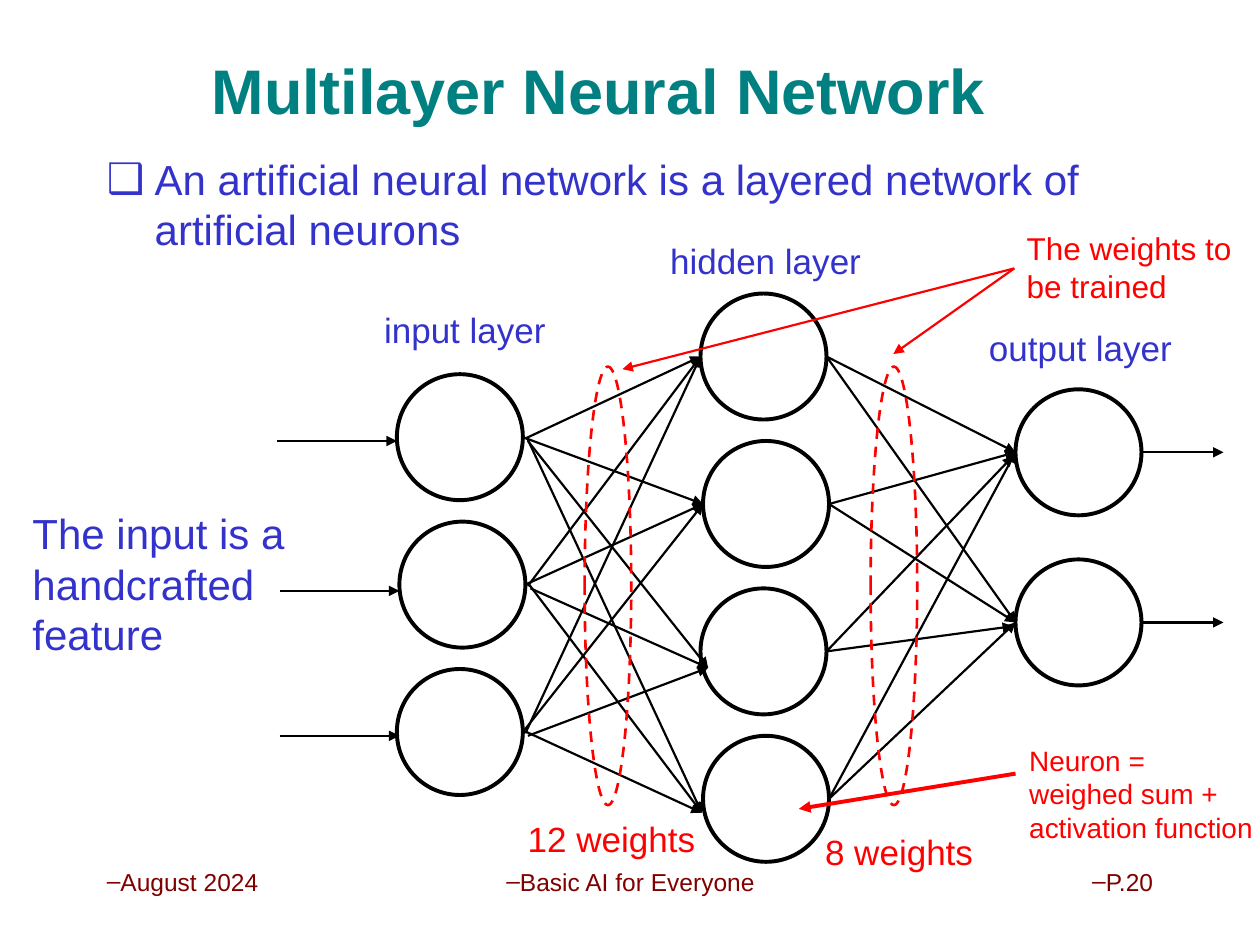
import pptx
import pptx.util
import pptx.dml.color
import pptx.enum.dml
import pptx.enum.shapes
import pptx.enum.text
import pptx.oxml
import pptx.oxml.ns

Inches = pptx.util.Inches
ALIGN = pptx.enum.text.PP_ALIGN
ANCHOR = pptx.enum.text.MSO_ANCHOR
COLORS = {
    "black": "000000",
    "blue": "3333CC",
    "red": "FF0000",
    "teal": "008080",
    "maroon": "800000",
}


class SlideBuilder:
    font = "Arial"

    def __init__(self, slide):
        self.s = slide

    def color(self, name):
        return pptx.dml.color.RGBColor.from_string(COLORS[name])

    def child(self, parent, tag, **attrs):
        el = pptx.oxml.parse_xml(f"<a:{tag} {pptx.oxml.ns.nsdecls('a')}/>")
        for key, value in attrs.items():
            el.set(key, str(value))
        parent.append(el)

    def text(self, lines, box, size, color, align=ALIGN.LEFT, bold=False,
             anchor=ANCHOR.TOP, bullet=None, indent=0):
        sp = self.s.shapes.add_textbox(*map(Inches, box))
        tf = sp.text_frame
        tf.word_wrap = True
        tf.vertical_anchor = anchor
        p = tf.paragraphs[0]
        p.alignment = align
        if bullet:
            pPr = p._p.get_or_add_pPr()
            pPr.set("marL", str(Inches(indent)))
            pPr.set("indent", str(-Inches(indent)))
            self.child(pPr, "buFont", typeface=self.font)
            self.child(pPr, "buChar", char=bullet)
        for i, line in enumerate(lines):
            if i:
                p.add_line_break()
            r = p.add_run()
            r.text = line
            r.font.name = self.font
            r.font.size = pptx.util.Pt(size)
            r.font.bold = bold
            r.font.color.rgb = self.color(color)

    def ellipse(self, box, color="black", width=2.25, dash=None):
        sp = self.s.shapes.add_shape(
            pptx.enum.shapes.MSO_SHAPE.OVAL, *map(Inches, box))
        sp.shadow.inherit = False
        sp.fill.background()
        sp.line.color.rgb = self.color(color)
        sp.line.width = pptx.util.Pt(width)
        if dash:
            sp.line.dash_style = dash

    def arrow(self, start, end, color="black", width=1.25):
        c = self.s.shapes.add_connector(
            pptx.enum.shapes.MSO_CONNECTOR.STRAIGHT,
            *map(Inches, (*start, *end)))
        c.line.color.rgb = self.color(color)
        c.line.width = pptx.util.Pt(width)
        self.child(c.line._get_or_add_ln(), "tailEnd", type="triangle")
        self.child(c._element.spPr, "effectLst")


def draw_network(b):
    pitch = 1.17
    layers = [
        [(3.15 + 0.02 * (i % 2), 2.97 + pitch * i) for i in range(3)],
        [(5.56 + 0.02 * (i % 2), 2.33 + pitch * i) for i in range(4)],
        [(8.06, 3.09), (8.06, 4.44)],
    ]
    for layer in layers:
        for x, y in layer:
            b.ellipse((x, y, 1, 1))

    fans = [
        ((4.17, 3.48), (5.56, 2.83)),
        ((4.15, 3.47), (5.58, 4)),
        ((4.19, 3.5), (5.62, 5.3)),
        ((4.18, 3.47), (5.57, 6.45)),
    ]
    for (x, y), hidden in fans:
        for i in range(3):
            b.arrow((x + 0.02 * (i % 2), y + pitch * i), hidden)

    for y in (3.59, 4.94):
        for i, (hx, hy) in enumerate(layers[1]):
            end = (8.04, y + 0.03) if i == 2 else (8.06, y)
            b.arrow((hx + 1, hy + 0.5), end)
        b.arrow((9.06, y), (9.71, y))

    for x, y in ((2.2, 3.5), (2.22, 4.69), (2.22, 5.84)):
        b.arrow((x, y), (x + 0.95, y))


def draw_notes(b):
    for x in (4.64, 6.91):
        b.ellipse((x, 2.91, 0.37, 3.48), "red", 1.5,
                  pptx.enum.dml.MSO_LINE.DASH)
    for end in ((4.94, 2.93), (7.09, 2.81)):
        b.arrow((8.05, 2.13), end, "red")
    b.arrow((8.06, 6.14), (6.34, 6.42), "red", 2.25)

    labels = [
        (["input layer"], (2.95, 2.4, 1.54, 0.44), 20, "blue"),
        (["hidden layer"], (5.22, 1.85, 1.84, 0.44), 20, "blue"),
        (["output layer"], (7.75, 2.54, 1.75, 0.44), 20, "blue"),
        (["The input is a handcrafted feature"],
         (0.16, 3.98, 2.37, 1.31), 24, "blue"),
        (["The weights to be trained"], (8.05, 1.77, 1.85, 0.71), 18, "red"),
        (["Neuron = ", "weighed sum + activation function"],
         (8.07, 5.85, 2.05, 0.91), 16, "red"),
        (["12 weights"], (4.09, 6.44, 1.76, 0.44), 20, "red"),
        (["8 weights"], (6.45, 6.54, 1.76, 0.44), 20, "red"),
    ]
    for label in labels:
        b.text(*label)


def main():
    prs = pptx.Presentation()
    prs.slide_width, prs.slide_height = Inches(10), Inches(7.5)
    b = SlideBuilder(prs.slides.add_slide(prs.slide_layouts[6]))

    b.text(["Multilayer Neural Network"], (1, 0.33, 7.5, 0.75), 36, "teal",
           ALIGN.CENTER, bold=True, anchor=ANCHOR.MIDDLE)
    b.text(["An artificial neural network is a layered network of "
            "artificial neurons"], (0.75, 1.17, 8.5, 5.5), 24, "blue",
           bullet="❑", indent=0.38)
    draw_network(b)
    draw_notes(b)

    footers = [
        ("August 2024", 0.75, 2.5, ALIGN.LEFT),
        ("Basic AI for Everyone", 3.42, 3.17, ALIGN.CENTER),
        ("P.20", 7.17, 2.08, ALIGN.RIGHT),
    ]
    for words, x, w, align in footers:
        b.text([words], (x, 6.83, w, 0.5), 14, "maroon", align, bullet="–")

    prs.save("out.pptx")


if __name__ == "__main__":
    main()
